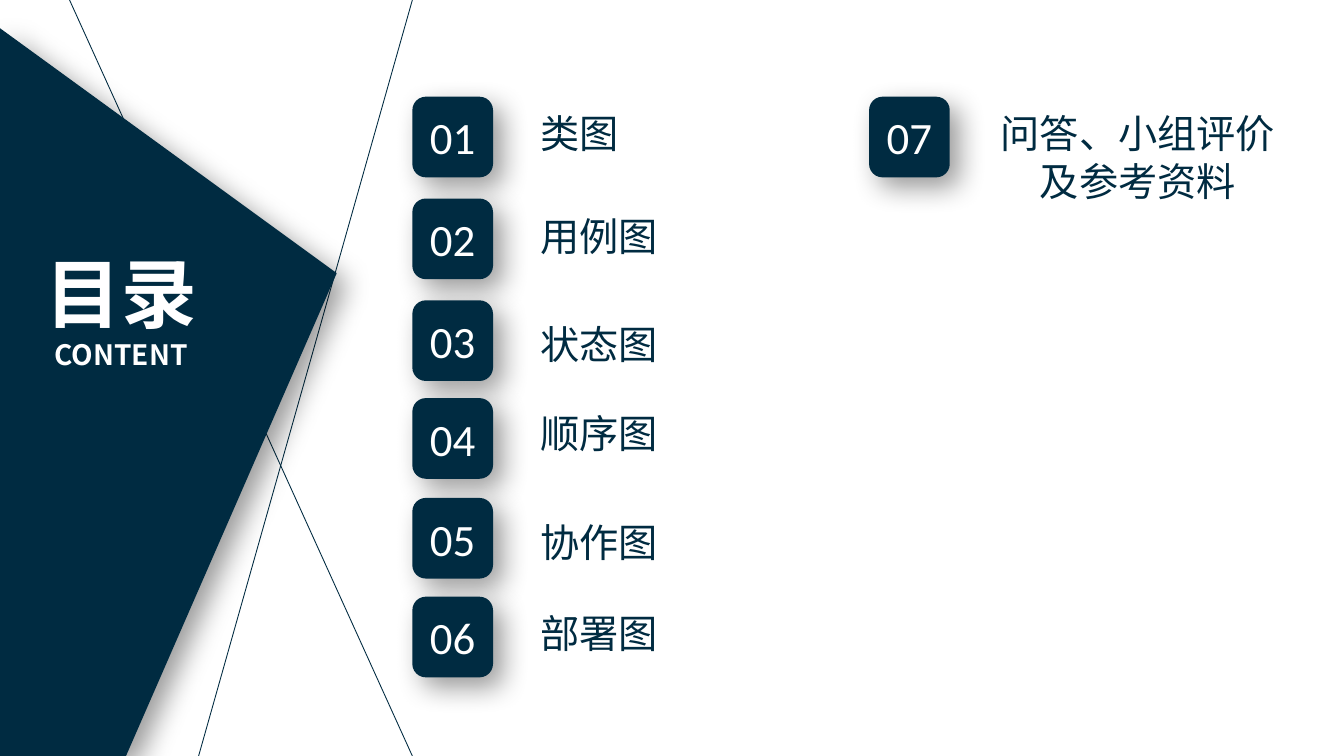
from lxml import etree
from pptx import Presentation
from pptx.dml.color import RGBColor
from pptx.enum.shapes import MSO_CONNECTOR, MSO_SHAPE
from pptx.enum.text import MSO_ANCHOR, PP_ALIGN
from pptx.oxml.ns import qn
from pptx.util import Inches, Pt

NAVY = RGBColor(0x00, 0x2B, 0x41)
WHITE = RGBColor(0xFF, 0xFF, 0xFF)
CJK_FONT = "Noto Sans CJK SC"
NUMBER_FONT = "Calibri"
ROUNDED = MSO_SHAPE.ROUNDED_RECTANGLE
STRAIGHT = MSO_CONNECTOR.STRAIGHT
CENTER, LEFT = PP_ALIGN.CENTER, PP_ALIGN.LEFT
MIDDLE = MSO_ANCHOR.MIDDLE

WIDTH, HEIGHT = 13.33, 7.5
TILE = 0.8
LABEL_OFFSET, LABEL_WIDTH = 1.17, 3.17
FIRST_COLUMN, SECOND_COLUMN = 4.09, 8.62

# number, label, column, tile top, label top below tile top, label height, alignment
ENTRIES = [
    ("01", "类图", FIRST_COLUMN, 0.96, 0.08, 0.57, LEFT),
    ("02", "用例图", FIRST_COLUMN, 1.97, 0.09, 0.57, LEFT),
    ("03", "状态图", FIRST_COLUMN, 2.98, 0.15, 0.57, LEFT),
    ("04", "顺序图", FIRST_COLUMN, 3.95, 0.06, 0.57, LEFT),
    ("05", "协作图", FIRST_COLUMN, 4.94, 0.15, 0.57, LEFT),
    ("06", "部署图", FIRST_COLUMN, 5.92, 0.08, 0.57, LEFT),
    ("07", "问答、小组评价及参考资料", SECOND_COLUMN, 0.96, 0.08, 1.04, CENTER),
]


def add_shadow(shape):
    """Give the shape a soft black shadow towards the lower right."""
    effects = etree.SubElement(shape._element.spPr, qn("a:effectLst"))
    shadow = etree.SubElement(
        effects, qn("a:outerShdw"), blurRad=str(Pt(20)), dist=str(Pt(10)),
        dir=str(45 * 60000), algn="tl", rotWithShape="0")
    color = etree.SubElement(shadow, qn("a:srgbClr"), val="000000")
    etree.SubElement(color, qn("a:alpha"), val="40000")


def fill_navy(shape):
    shape.fill.solid()
    shape.fill.fore_color.rgb = NAVY
    shape.line.fill.background()
    add_shadow(shape)


def format_paragraph(paragraph, size, color, font_name, alignment, bold=False):
    paragraph.alignment = alignment
    for run in paragraph.runs:
        run.font.size = Pt(size)
        run.font.bold = bold
        run.font.color.rgb = color
        run.font.name = font_name
        east_asian = etree.Element(qn("a:ea"), typeface=font_name)
        run.font._element.find(qn("a:latin")).addnext(east_asian)


def add_text_box(slide, left, top, width, height, text):
    box = slide.shapes.add_textbox(
        Inches(left), Inches(top), Inches(width), Inches(height))
    box.text_frame.word_wrap = True
    box.text_frame.text = text
    return box.text_frame.paragraphs


def add_crossing_lines(slide, left, width, height):
    """Draw two thin diagonals that both reach the right edge of the box."""
    right = left + width
    for start_y, end_x, end_y in ((0, 1.97, height), (height, left, 0)):
        line = slide.shapes.add_connector(
            STRAIGHT, Inches(right), Inches(start_y), Inches(end_x), Inches(end_y))
        line.line.color.rgb = NAVY
        line.line.width = Pt(0.63)
        etree.SubElement(line._element.spPr, qn("a:effectLst"))


def add_title_panel(slide, left, top, width, height):
    bottom = top + height
    corners = [(left, bottom), (left, top), (left + width, top + 2.43)]
    builder = slide.shapes.build_freeform(
        Inches(left + 1.25), Inches(bottom), scale=1.0)
    builder.add_line_segments([(Inches(x), Inches(y)) for x, y in corners], close=True)
    fill_navy(builder.convert_to_shape())

    paragraphs = add_text_box(
        slide, left + 0.24, top + 2.12, 1.92, 1.35, "目录\nCONTENT")
    for paragraph, size in zip(paragraphs, (54, 20)):
        format_paragraph(paragraph, size, WHITE, CJK_FONT, CENTER, bold=True)


def add_entry(slide, number, label, left, top, label_drop, label_height, alignment):
    tile = slide.shapes.add_shape(
        ROUNDED, Inches(left), Inches(top), Inches(TILE), Inches(TILE))
    fill_navy(tile)
    frame = tile.text_frame
    frame.margin_left = frame.margin_right = 0
    frame.vertical_anchor = MIDDLE
    frame.word_wrap = False
    frame.text = number
    format_paragraph(frame.paragraphs[0], 32, WHITE, NUMBER_FONT, CENTER)

    label_left = left + LABEL_OFFSET if alignment == LEFT else left + 1.08
    paragraphs = add_text_box(
        slide, label_left, top + label_drop, LABEL_WIDTH, label_height, label)
    format_paragraph(paragraphs[0], 28, NAVY, CJK_FONT, alignment)


def main():
    presentation = Presentation()
    presentation.slide_width = Inches(WIDTH)
    presentation.slide_height = Inches(HEIGHT)
    slide = presentation.slides.add_slide(presentation.slide_layouts[6])

    add_crossing_lines(slide, 0.69, 3.4, HEIGHT)
    add_title_panel(slide, 0, 0.28, 3.34, HEIGHT - 0.28)
    for entry in ENTRIES:
        add_entry(slide, *entry)
    presentation.save("out.pptx")


if __name__ == "__main__":
    main()
